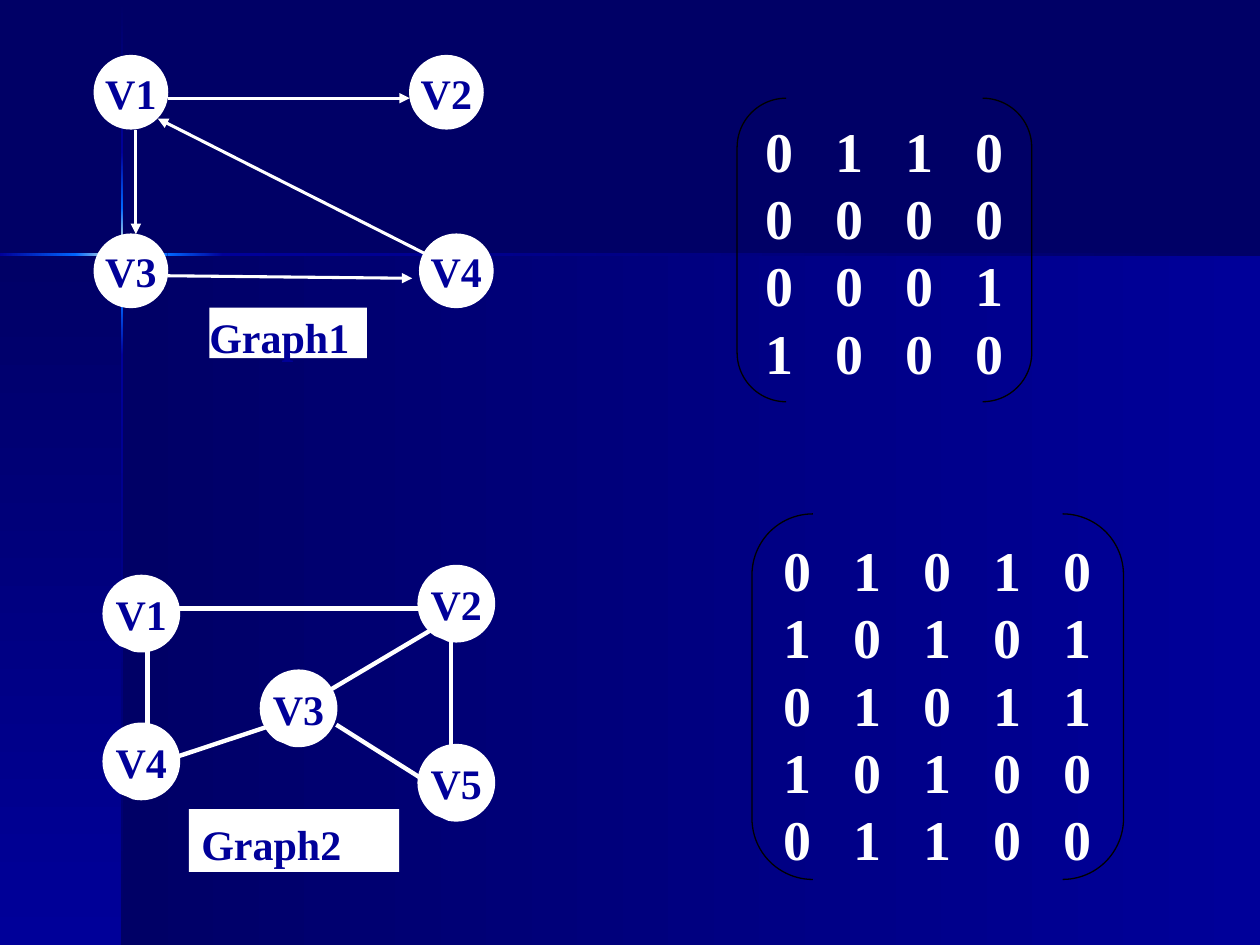
"""Build a slide with two graphs beside their adjacency matrices."""
import copy

import lxml.etree
import pptx
import pptx.dml.color
import pptx.enum.shapes
import pptx.enum.text
import pptx.oxml.ns
import pptx.util

Cm, Pt = pptx.util.Cm, pptx.util.Pt
SHAPE = pptx.enum.shapes.MSO_SHAPE
ANCHOR = pptx.enum.text.MSO_ANCHOR
ALIGN = pptx.enum.text.PP_ALIGN
qn = pptx.oxml.ns.qn

COLORS = {"night": "000066", "blue": "000099", "bright": "0066FF",
          "glow": "FFFFCC", "white": "FFFFFF", "black": "000000"}
FONT = "Times New Roman"
WIDTH, HEIGHT = 25.4, 19.05
AXIS_X, AXIS_Y, BEAM = 2.46, 5.13, 0.05
NODE_SIZE, COLUMN_STEP = 1.48, 1.41

PANELS = [
    ((AXIS_X, AXIS_Y, WIDTH - AXIS_X, HEIGHT - AXIS_Y), False, ("night", "blue")),
    ((0, AXIS_Y, AXIS_X, HEIGHT - AXIS_Y), True, ("night", "blue")),
]
VERTICAL_BEAM = [
    (0.03, 3.07, ("night", "blue")),
    (7.16, HEIGHT, ("blue", "night")),
    (6.05, 7.16, ("bright", "blue")),
    (3.07, 4.19, ("blue", "bright")),
    (4.19, 6.05, ("bright", "glow", "bright")),
]
HORIZONTAL_BEAM = [
    (4.5, WIDTH, ("blue", "night")),
    (0, 1.55, ("blue", "bright")),
    (3.38, 4.5, ("bright", "blue")),
    (1.52, 3.38, ("bright", "glow", "bright")),
]
GRAPHS = [
    {"edges": [(2.74, 2.62, 2.74, 4.72), (3.38, 1.98, 8.26, 1.98),
               (3.38, 5.56, 8.31, 5.61), (8.66, 5.16, 3.18, 2.39)],
     "directed": True, "edge_width": 1.75, "outline": 0.75,
     "node_shape": SHAPE.FLOWCHART_CONNECTOR, "adjustments": (),
     "nodes": [("V4", 8.46, 4.72), ("V3", 1.9, 4.72),
               ("V2", 8.26, 1.12), ("V1", 1.9, 1.12)],
     "label": ("Graph1", (4.22, 6.2, 3.18, 1.02), (0, 0.08))},
    {"edges": [(2.97, 13.13, 2.97, 14.81), (3.61, 12.27, 8.46, 12.27),
               (9.09, 12.9, 9.09, 15.24), (8.46, 15.67, 6.78, 14.61),
               (8.69, 12.7, 6.55, 13.97), (5.51, 14.61, 3.61, 15.24)],
     "directed": False, "edge_width": 2.5, "outline": 2.5,
     "node_shape": SHAPE.OVAL_CALLOUT, "adjustments": (-0.19, 0.45),
     "nodes": [("V5", 8.46, 15.04), ("V1", 2.11, 11.63), ("V2", 8.46, 11.43),
               ("V3", 5.28, 13.54), ("V4", 2.11, 14.61)],
     "label": ("Graph2", (3.81, 16.31, 4.24, 1.27), (0.25, 0.2))},
]
MATRICES = [
    ((14.86, 1.98, 5.94, 6.12), ["0110", "0000", "0001", "1000"]),
    ((15.16, 10.36, 7.49, 7.37), ["01010", "10101", "01011", "10100", "01100"]),
]


def rgb(name):
    return pptx.dml.color.RGBColor.from_string(COLORS[name])


def add_box(page, kind, place, fill=None, line=None, width=0.75):
    box = page.shapes.add_shape(kind, *map(Cm, place))
    box.shadow.inherit = False
    if fill:
        box.fill.solid()
        box.fill.fore_color.rgb = rgb(fill)
    else:
        box.fill.background()
    if line:
        box.line.color.rgb = rgb(line)
        box.line.width = Pt(width)
    else:
        box.line.fill.background()
    return box


def add_gradient(page, place, vertical, names):
    box = add_box(page, SHAPE.RECTANGLE, place)
    box.fill.gradient()
    box.fill.gradient_angle = 270 if vertical else 0
    stop_list = box._element.spPr.find(qn("a:gradFill")).find(qn("a:gsLst"))
    while len(stop_list) < len(names):
        stop_list.append(copy.deepcopy(stop_list[-1]))
    for index, (stop, name) in enumerate(zip(box.fill.gradient_stops, names)):
        stop.color.rgb = rgb(name)
        stop.position = index / (len(names) - 1)


def set_insets(frame, left, top):
    frame.margin_left, frame.margin_top = Cm(left), Cm(top)
    frame.margin_right = frame.margin_bottom = 0


def add_text(para, text, size, color, align=ALIGN.LEFT):
    para.alignment = align
    para.line_spacing = Pt(size * 1.2)
    span = para.add_run()
    span.text = text
    span.font.name, span.font.size, span.font.bold = FONT, Pt(size), True
    span.font.color.rgb = rgb(color)


def add_edge(page, ends, width, directed):
    edge = page.shapes.add_connector(
        pptx.enum.shapes.MSO_CONNECTOR.STRAIGHT, *map(Cm, ends))
    edge.line.color.rgb = rgb("white")
    edge.line.width = Pt(width)
    if directed:
        lxml.etree.SubElement(edge.line._get_or_add_ln(), qn("a:tailEnd"), type="triangle")
    lxml.etree.SubElement(edge._element.spPr, qn("a:effectLst"))


def add_graph(page, graph):
    for ends in graph["edges"]:
        add_edge(page, ends, graph["edge_width"], graph["directed"])
    name, place, insets = graph["label"]
    label = add_box(page, SHAPE.RECTANGLE, place, "white")
    label.text_frame.vertical_anchor = ANCHOR.TOP
    set_insets(label.text_frame, *insets)
    add_text(label.text_frame.paragraphs[0], name, 24, "blue")
    for name, left, top in graph["nodes"]:
        node = add_box(page, graph["node_shape"], (left, top, NODE_SIZE, NODE_SIZE),
                       "white", "white", graph["outline"])
        for index, value in enumerate(graph["adjustments"]):
            node.adjustments[index] = value
        node.text_frame.word_wrap = False
        node.text_frame.vertical_anchor = ANCHOR.MIDDLE
        add_text(node.text_frame.paragraphs[0], name, 24, "blue", ALIGN.CENTER)


def add_matrix(page, place, rows):
    box = add_box(page, SHAPE.DOUBLE_BRACKET, place, line="black")
    frame = box.text_frame
    frame.word_wrap = True
    frame.vertical_anchor = ANCHOR.TOP
    set_insets(frame, 0.28, 0.08)
    for index, row in enumerate(rows):
        para = frame.add_paragraph() if index else frame.paragraphs[0]
        tabs = lxml.etree.SubElement(para._p.get_or_add_pPr(), qn("a:tabLst"))
        for column in range(1, len(row)):
            lxml.etree.SubElement(tabs, qn("a:tab"), pos=str(Cm(column * COLUMN_STEP)), algn="l")
        add_text(para, "\t".join(row), 32, "white")


def main():
    deck = pptx.Presentation()
    deck.slide_width, deck.slide_height = Cm(WIDTH), Cm(HEIGHT)
    page = deck.slides.add_slide(deck.slide_layouts[6])
    page.background.fill.solid()
    page.background.fill.fore_color.rgb = rgb("night")
    for place, vertical, names in PANELS:
        add_gradient(page, place, vertical, names)
    for start, end, names in VERTICAL_BEAM:
        add_gradient(page, (AXIS_X - BEAM / 2, start, BEAM, end - start), True, names)
    for start, end, names in HORIZONTAL_BEAM:
        add_gradient(page, (start, AXIS_Y - BEAM / 2, end - start, BEAM), False, names)
    for graph in GRAPHS:
        add_graph(page, graph)
    for place, rows in MATRICES:
        add_matrix(page, place, rows)
    deck.save("out.pptx")


if __name__ == "__main__":
    main()
